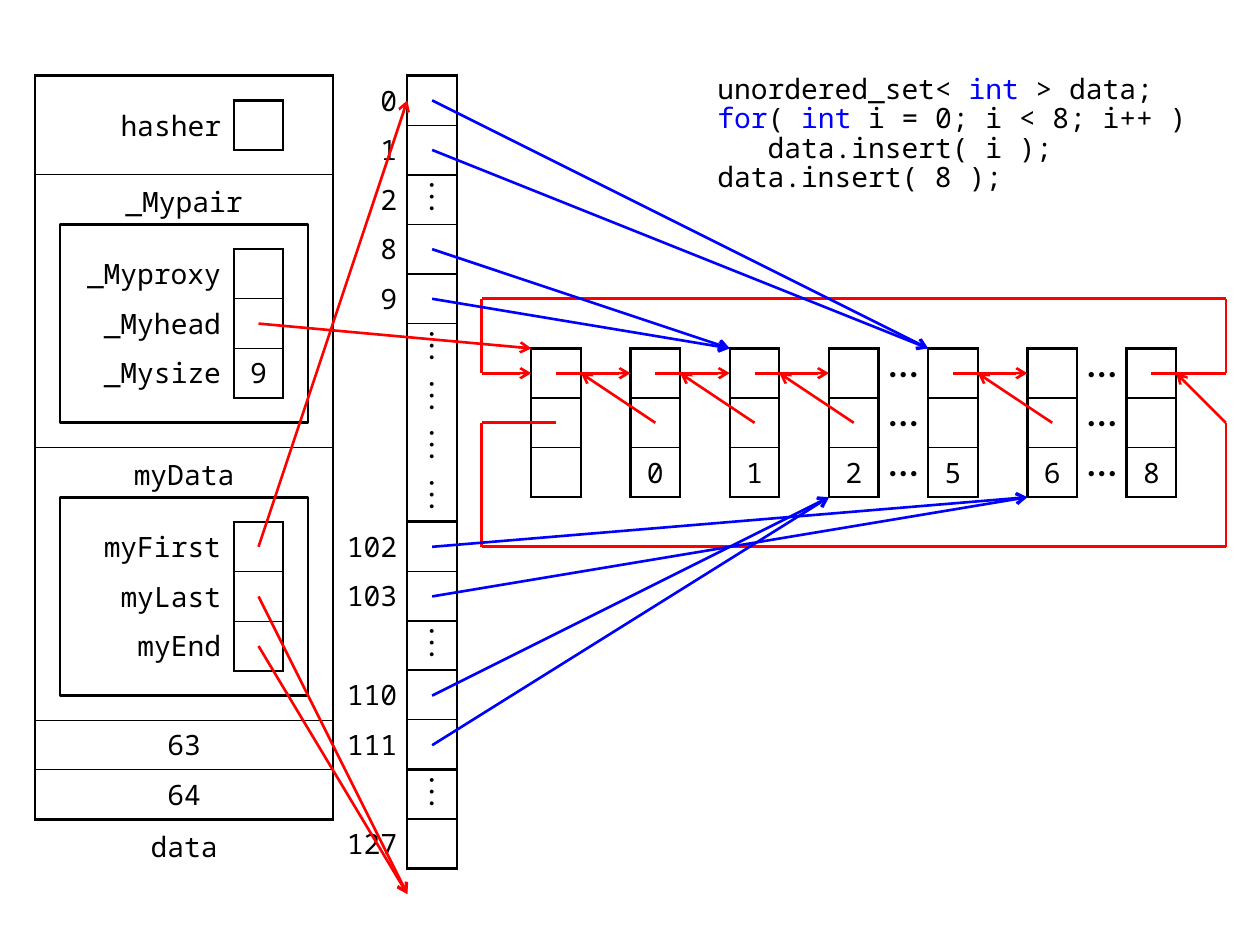
from pptx import Presentation
from pptx import util as u
from pptx.dml.color import RGBColor
from pptx.enum import shapes, text
from pptx.oxml import parse_xml
from pptx.oxml.ns import nsdecls

CELL = u.Inches(1 / 2.54)
LEFT, TOP = u.Inches(0.28), u.Inches(0.6)
BLACK, RED, BLUE, WHITE = "000000", "FF0000", "0000FF", "FFFFFF"
MONO = "Noto Sans Mono"
GLYPHS = {"⋮": ("Cambria", 20, False), "⋯": ("Cambria", 18, True)}
RIGHT, CENTER = text.PP_ALIGN.RIGHT, text.PP_ALIGN.CENTER
WIDTHS = {"1": 0.75, "2": 1.5}


def place(x, y):
    return int(LEFT + x * CELL), int(TOP + y * CELL)


def style(span, color=BLACK):
    name, size, bold = GLYPHS.get(span.text, (MONO, 16, False))
    span.font.name, span.font.size = name, u.Pt(size)
    span.font.color.rgb = RGBColor.from_string(color)
    if bold:
        span.font.bold = True


deck = Presentation()
deck.slide_width, deck.slide_height = u.Inches(10), u.Inches(7.5)
page = deck.slides.add_slide(deck.slide_layouts[6])

bucket_labels = ["0", "1", "2", "8", "9", "", "", "", "",
                 "102", "103", "", "110", "111", "", "127"]
bucket_rows = [[label, "⋮" if label in ("", "2") else ""] for label in bucket_labels]

grids = [
    (0, 0, [6], [2, 5.5, 5.5, 1, 1], "211112", [[""], [""], [""], ["63"], ["64"]]),
    (6, 0, [1.5, 1], [1] * 16, "21212100021221212", bucket_rows),
    (1, 0.5, [3, 1], [1], "22", [["hasher", ""]]),
    (0.5, 3.5, [3.5, 1], [1] * 3, "2112",
     [["_Myproxy", ""], ["_Myhead", ""], ["_Mysize", "9"]]),
    (1, 9, [3, 1], [1] * 3, "2112", [["myFirst", ""], ["myLast", ""], ["myEnd", ""]]),
]
for index, value in enumerate(["", "0", "1", "2", "5", "6", "8"]):
    grids.append((10 + 2 * index, 5.5, [1], [1] * 3, "2112", [[""], [""], [value]]))
for x in (17, 21):
    grids.append((x, 5.5, [1], [1] * 3, "0000", [["⋯"]] * 3))

for number, (x, y, widths, heights, edges, rows) in enumerate(grids):
    frame = page.shapes.add_table(len(heights), len(widths), *place(x, y),
                                  int(sum(widths) * CELL), int(sum(heights) * CELL))
    table = frame.table
    table.first_row = table.horz_banding = False
    for column, width in zip(table.columns, widths):
        column.width = int(width * CELL)
    for r, (height, values) in enumerate(zip(heights, rows)):
        table.rows[r].height = int(height * CELL)
        for c, value in enumerate(values):
            cell = table.cell(r, c)
            is_label = c < len(widths) - 1
            cell.fill.background()
            cell.vertical_anchor = text.MSO_ANCHOR.MIDDLE
            cell.margin_top = cell.margin_bottom = u.Inches(0 if value == "⋮" else 0.04)
            cell.margin_left = u.Inches(0.04 if is_label else 0)
            cell.margin_right = u.Inches((0.08 if widths[0] == 1.5 else 0.1) if is_label else 0)
            if value:
                cell.text_frame.text = value
                para = cell.text_frame.paragraphs[0]
                para.alignment = RIGHT if is_label else CENTER
                style(para.runs[0])
            side = "0" if edges == "0000" else "2"
            if is_label:
                weights = ["0", side, "0", "0"]
            else:
                weights = [side, side, edges[r], edges[r + 1]]
            properties = cell._tc.get_or_add_tcPr()
            for position, (tag, weight) in enumerate(zip("LRTB", weights)):
                if weight == "0":
                    paint, width = "<a:noFill/>", 0
                else:
                    paint = f'<a:solidFill><a:srgbClr val="{BLACK}"/></a:solidFill>'
                    width = u.Pt(WIDTHS[weight])
                properties.insert(position, parse_xml(
                    f'<a:ln{tag} {nsdecls("a")} w="{width}">{paint}</a:ln{tag}>'))
    if number == 0:
        for top in (3, 8.5):
            panel = page.shapes.add_shape(shapes.MSO_SHAPE.RECTANGLE, *place(0.5, top),
                                          5 * CELL, 4 * CELL)
            panel.shadow.inherit = False
            panel.fill.solid()
            panel.fill.fore_color.rgb = RGBColor.from_string(WHITE)
            panel.line.color.rgb = RGBColor.from_string(BLACK)
            panel.line.width = u.Pt(1.5)

for caption, x, y, width in (("_Mypair", 1.5, 2, 3), ("myData", 1.5, 7.5, 3), ("data", 2, 15, 2)):
    box = page.shapes.add_textbox(*place(x, y), width * CELL, CELL)
    box.text_frame.word_wrap = True
    box.text_frame.vertical_anchor = text.MSO_ANCHOR.BOTTOM
    box.text_frame.text = caption
    para = box.text_frame.paragraphs[0]
    para.alignment = CENTER
    style(para.runs[0])

code = [
    [("unordered_set< ", BLACK), ("int", BLUE), (" > data;", BLACK)],
    [("for", BLUE), ("( ", BLACK), ("int ", BLUE), ("i = 0; i < 8; i++ )", BLACK)],
    [("data.insert( i );", BLACK)],
    [("data.insert( 8 );", BLACK)],
]
box = page.shapes.add_textbox(*place(13.5, 0), 10 * CELL, 3 * CELL)
frame = box.text_frame
frame.word_wrap = True
frame.margin_top = frame.margin_bottom = 0
for index, pieces in enumerate(code):
    para = frame.add_paragraph() if index else frame.paragraphs[0]
    para.line_spacing = 0.88
    if index == 2:
        para._p.get_or_add_pPr().set("marL", str(u.Inches(0.4)))
    for words, color in pieces:
        span = para.add_run()
        span.text = words
        style(span, color)

lines = [
    (2.5 + 2, 5, 10, 5.5, RED, True),
    (4.5, 9.5, 7.5, 0.5, RED, True),
    (4.5, 10.5, 7.5, 16.5, RED, True),
    (4.5, 11.5, 7.5, 16.5, RED, True),
    (9, 6, 10, 6, RED, True),
    (24, 7, 23, 6, RED, True),
]
for x in (10, 12, 14, 18):
    lines.append((x + 0.5, 6, x + 2, 6, RED, True))
    lines.append((x + 2.5, 7, x + 1, 6, RED, True))
for route in ([(10.5, 7), (9, 7), (9, 9.5), (24, 9.5), (24, 7)],
              [(22.5, 6), (24, 6), (24, 4.5), (9, 4.5), (9, 6)]):
    for start, end in zip(route, route[1:]):
        lines.append((*start, *end, RED, False))
for row, x, y in ((0, 18, 5.5), (1, 18, 5.5), (3, 14, 5.5), (4, 14, 5.5),
                  (9, 20, 8.5), (10, 20, 8.5), (12, 16, 8.5), (13, 16, 8.5)):
    lines.append((8, row + 0.5, x, y, BLUE, True))

for x1, y1, x2, y2, color, has_head in lines:
    line = page.shapes.add_connector(shapes.MSO_CONNECTOR.STRAIGHT,
                                     *place(x1, y1), *place(x2, y2))
    line.line.color.rgb = RGBColor.from_string(color)
    line.line.width = u.Pt(1.5)
    if has_head:
        line.line._get_or_add_ln().append(
            parse_xml(f'<a:tailEnd {nsdecls("a")} type="arrow"/>'))
    line._element.spPr.append(parse_xml(f'<a:effectLst {nsdecls("a")}/>'))

deck.save("out.pptx")
